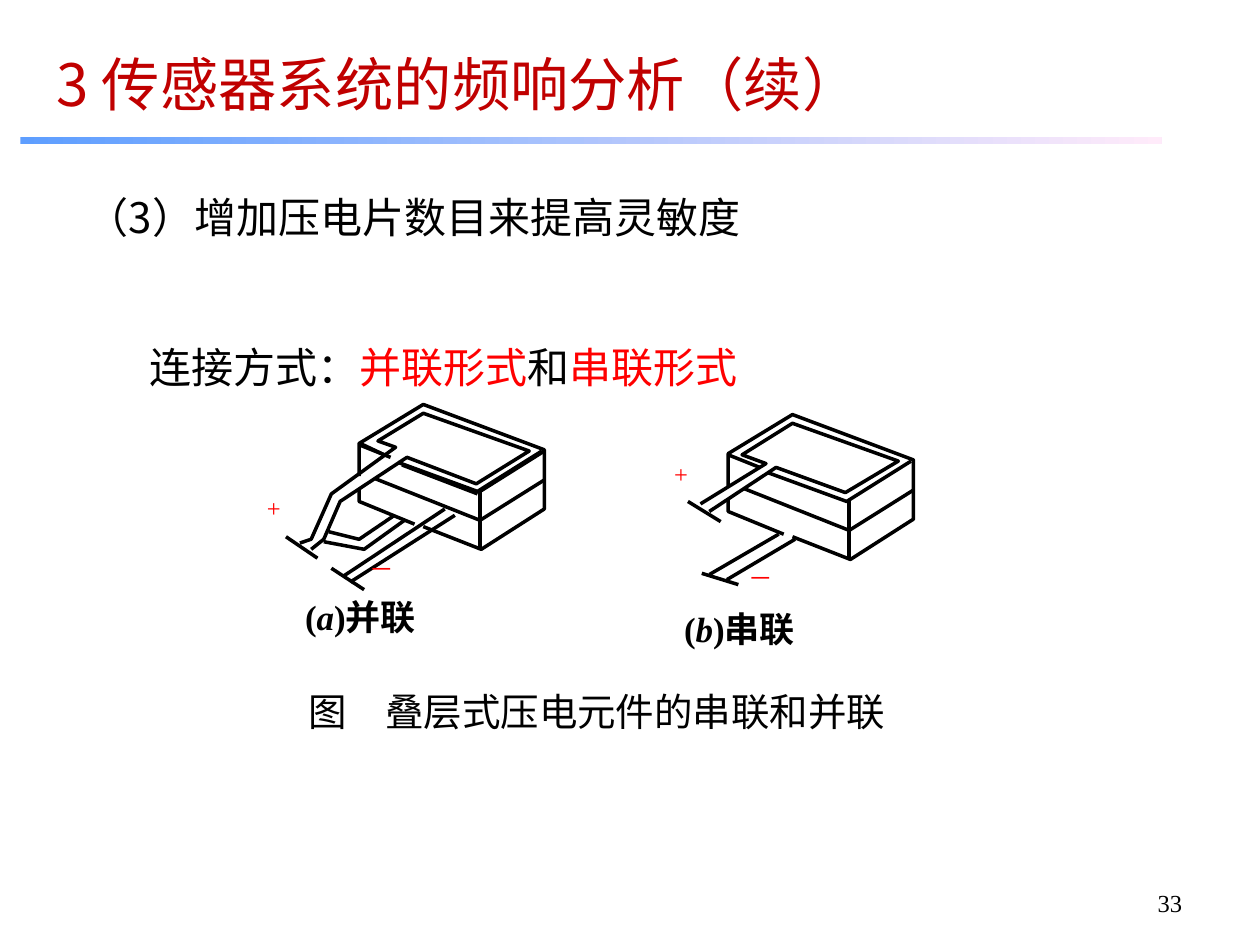
from dataclasses import dataclass

import pptx
import pptx.dml.color
import pptx.enum.text
import pptx.oxml
import pptx.oxml.ns
import pptx.util

Cm = pptx.util.Cm
Pt = pptx.util.Pt
ALIGN = pptx.enum.text.PP_ALIGN
ANCHOR = pptx.enum.text.MSO_ANCHOR

COLORS = {
    "black": "000000",
    "red": "FF0000",
    "title": "C00000",
    "rule_start": "5E9EFF",
    "rule_end": "FFEBFA",
}
CHINESE_FONT = "Noto Sans CJK SC"
LATIN_FONT = "Times New Roman"
DRAWING_UNIT = Cm(2.54) / 100

Points = list[tuple[int, int]]


@dataclass
class Run:
    text: str
    color: str = "black"
    italic: bool = False


@dataclass
class Label:
    box: tuple[float, float, float, float]  # left, top, width, height in cm
    runs: list[Run]
    size: float
    font: str = CHINESE_FONT
    bold: bool = False
    inset: tuple[float, float] = (0.25, 0.13)
    anchor: ANCHOR = ANCHOR.TOP
    alignment: ALIGN = ALIGN.LEFT
    line_spacing: float = 1.0
    space_before: float = 0


@dataclass
class PiezoStack:
    """Two stacked plates; strokes are in drawing units from the origin."""
    origin: tuple[int, int]
    strokes: list[Points]
    labels: list[Label]


def sign(text: str, left: float, top: float) -> Label:
    return Label((left, top, 0.71, 0.66), [Run(text, "red")], 14, LATIN_FONT,
                 inset=(0, 0), alignment=ALIGN.JUSTIFY, line_spacing=0.8)


def caption(letter: str, name: str, left: float, top: float) -> Label:
    runs = [Run("("), Run(letter, italic=True), Run(")" + name)]
    return Label((left, top, 3.58, 0.91), runs, 20, LATIN_FONT, bold=True,
                 inset=(0, 0), alignment=ALIGN.JUSTIFY)


PLATE_STROKES: list[Points] = [
    [(0, 57), (0, 31), (51, 0), (147, 36), (147, 83), (97, 115), (51, 97)],
    [(147, 60), (96, 92), (13, 59)],
    [(0, 68), (0, 77), (44, 95)],
    [(145, 37), (94, 69), (31, 46)],
    [(0, 32), (25, 42)],
    [(96, 69), (96, 114)],
]

STACKS = [
    PiezoStack(
        (285, 321),
        [
            [(-58, 105), (-33, 122)],
            [(-22, 130), (4, 147)],
            [(-47, 110), (-38, 107), (-22, 71), (29, 34), (15, 29), (51, 7),
             (135, 37), (93, 63), (38, 42), (-15, 77), (-28, 107), (-38, 115)],
            [(-7, 141), (76, 88)],
            [(-12, 136), (68, 83)],
            [(-24, 101), (0, 107), (28, 88)],
            [(-28, 109), (4, 115), (36, 92)],
            [(147, 37), (96, 69)],
            [(94, 71), (34, 48)],
            [(1, 31), (20, 40)],
        ],
        [sign("+", 5.38, 10.06), sign("－", 7.44, 11.28),
         caption("a", "并联", 6.15, 12.01)],
    ),
    PiezoStack(
        (578, 329),
        [
            [(-32, 69), (-6, 85)],
            [(-21, 126), (8, 135)],
            [(-22, 71), (30, 39), (11, 32), (51, 7),
             (135, 37), (93, 62), (38, 42), (-15, 77)],
            [(-15, 127), (40, 95)],
            [(-1, 131), (53, 99)],
        ],
        [sign("+", 13.59, 9.37), sign("－", 15.09, 11.46),
         caption("b", "串联", 13.79, 12.24)],
    ),
]

TEXTS = [
    Label((0.89, 0.53, 17.4, 2.01), [Run("3 传感器系统的频响分析（续）", "title")],
          33.3, anchor=ANCHOR.MIDDLE, line_spacing=1.2, space_before=4.5),
    Label((1.5, 3.53, 16, 1.47), [Run("（3）增加压电片数目来提高灵敏度")],
          24, line_spacing=1.2, space_before=15),
    Label((2.77, 6.55, 13.21, 1.47),
          [Run("连接方式："), Run("并联形式", "red"), Run("和"), Run("串联形式", "red")],
          24, line_spacing=1.2, space_before=15),
    Label((5.97, 13.56, 13.61, 1.37), [Run("图　叠层式压电元件的串联和并联")],
          22, line_spacing=1.2, space_before=13.8),
    Label((23.01, 17.78, 1.07, 1.27), [Run("33")], 14, LATIN_FONT,
          alignment=ALIGN.RIGHT),
]


def rgb(name: str) -> pptx.dml.color.RGBColor:
    return pptx.dml.color.RGBColor.from_string(COLORS[name])


def set_attributes(target, values: dict) -> None:
    for name, value in values.items():
        setattr(target, name, value)


def add_label(shapes, label: Label) -> None:
    frame = shapes.add_textbox(*map(Cm, label.box)).text_frame
    horizontal, vertical = map(Cm, label.inset)
    set_attributes(frame, {
        "word_wrap": True, "vertical_anchor": label.anchor,
        "margin_left": horizontal, "margin_right": horizontal,
        "margin_top": vertical, "margin_bottom": vertical,
    })
    paragraph = frame.paragraphs[0]
    set_attributes(paragraph, {
        "alignment": label.alignment, "line_spacing": label.line_spacing,
        "space_before": Pt(label.space_before),
    })
    for part in label.runs:
        run = paragraph.add_run()
        run.text = part.text
        set_attributes(run.font, {
            "name": label.font, "size": Pt(label.size),
            "bold": label.bold, "italic": part.italic,
        })
        run.font.color.rgb = rgb(part.color)
        east_asian = pptx.oxml.parse_xml(
            f'<a:ea {pptx.oxml.ns.nsdecls("a")} typeface="{CHINESE_FONT}"/>')
        run.font._element.find(pptx.oxml.ns.qn("a:latin")).addnext(east_asian)


def add_stroke(shapes, origin: tuple[int, int], points: Points) -> None:
    """Draw two points as a connector and more as an open outline."""
    if len(points) == 2:
        ends = [round((start + offset) * DRAWING_UNIT)
                for point in points for start, offset in zip(origin, point)]
        shape = shapes.add_connector(pptx.enum.shapes.MSO_CONNECTOR.STRAIGHT, *ends)
        shape._element.spPr.append(pptx.oxml.parse_xml(
            f'<a:effectLst {pptx.oxml.ns.nsdecls("a")}/>'))
    else:
        builder = shapes.build_freeform(*points[0], scale=DRAWING_UNIT)
        builder.add_line_segments(points[1:], close=False)
        shape = builder.convert_to_shape(
            *(round(start * DRAWING_UNIT) for start in origin))
        shape.shadow.inherit = False
        shape.fill.background()
    shape.line.color.rgb = rgb("black")
    shape.line.width = Pt(2)


def add_stack(slide, stack: PiezoStack) -> None:
    shapes = slide.shapes.add_group_shape().shapes
    for points in PLATE_STROKES + stack.strokes:
        add_stroke(shapes, stack.origin, points)
    for label in stack.labels:
        add_label(shapes, label)


def add_title_rule(slide) -> None:
    shape = slide.shapes.add_shape(pptx.enum.shapes.MSO_SHAPE.RECTANGLE,
                                   Cm(0.41), Cm(2.77), Cm(23.01), Cm(0.13))
    shape.shadow.inherit = False
    shape.line.fill.background()
    shape.fill.gradient()
    shape.fill.gradient_angle = 0
    for stop, name in zip(shape.fill.gradient_stops, ("rule_start", "rule_end")):
        stop.color.rgb = rgb(name)


def main() -> None:
    presentation = pptx.Presentation()
    set_attributes(presentation, {"slide_width": Cm(25.4), "slide_height": Cm(19.05)})
    slide = presentation.slides.add_slide(presentation.slide_layouts[6])
    add_title_rule(slide)
    for stack in STACKS:
        add_stack(slide, stack)
    for label in TEXTS:
        add_label(slide.shapes, label)
    presentation.save("out.pptx")


if __name__ == "__main__":
    main()
